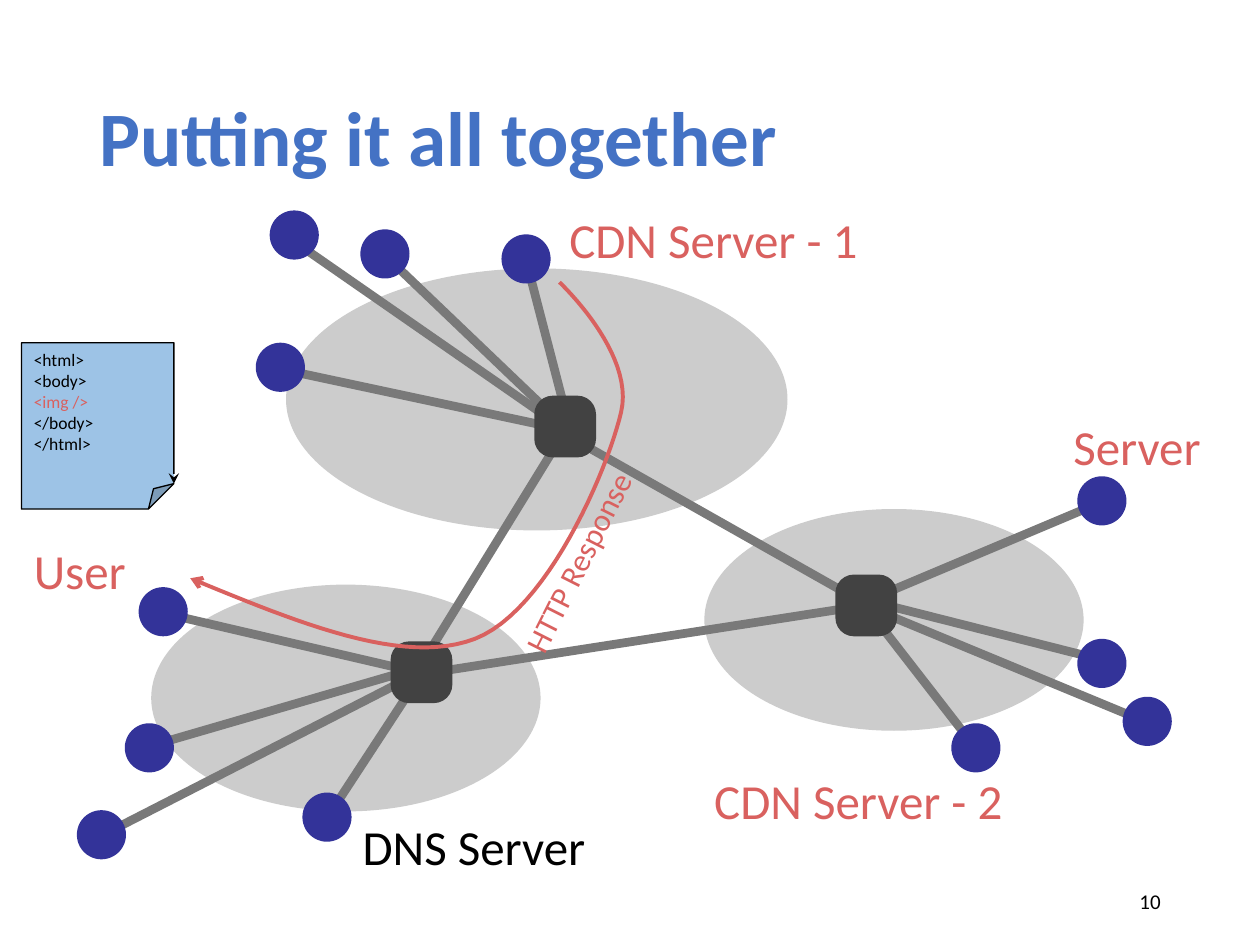
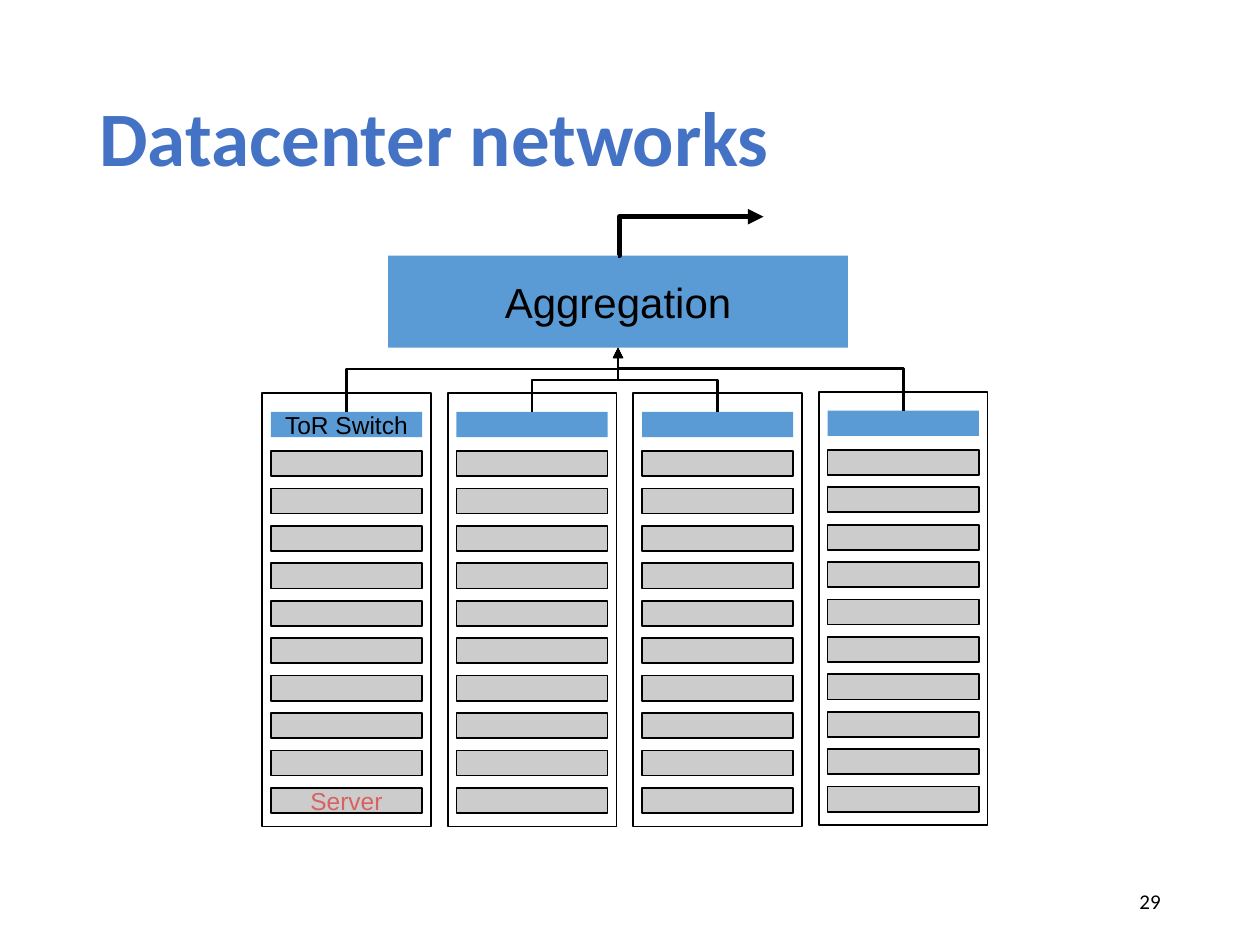
"""Build two networking slides: a content delivery network and a datacenter."""
from typing import NamedTuple, Optional

from lxml.etree import SubElement
from pptx import Presentation
from pptx.dml.color import RGBColor
from pptx.enum.shapes import MSO_CONNECTOR, MSO_SHAPE
from pptx.enum.text import MSO_ANCHOR, PP_ALIGN
from pptx.oxml.ns import qn
from pptx.util import Inches, Pt

COLUMNS, ROWS = 100, 75
CELL = Inches(10) / COLUMNS

BLACK, WHITE = "000000", "FFFFFF"
TITLE_BLUE, SWITCH_BLUE, PAGE_BLUE = "4472C4", "5B9BD5", "9DC3E6"
HOST_BLUE, CORAL = "333399", "D9615F"
CLOUD_GREY, LINK_GREY, HUB_GREY = "CCCCCC", "797979", "424242"
BODY_FONT, RACK_FONT = "Calibri", "Arial"


class Point(NamedTuple):
    x: float
    y: float


class Box(NamedTuple):
    left: float
    top: float
    width: float
    height: float


class Style(NamedTuple):
    size: float
    color: str = BLACK
    font: str = BODY_FONT
    bold: bool = False


class Label(NamedTuple):
    text: str
    box: Box
    style: Style
    rotation: float = 0


class Host(NamedTuple):
    corner: Point
    link_start: Point
    link_end: Point


class Cluster(NamedTuple):
    cloud: Box
    hub: Point
    hosts: list[Host]


TITLE_BOX = Box(6.9, 4, 86.2, 14.5)
NUMBER_BOX = Box(70.6, 69.5, 22.5, 4)
TITLE_STYLE = Style(44, TITLE_BLUE, bold=True)
NUMBER_STYLE = Style(12)
PLACE_STYLE = Style(28, CORAL)

HOST_SIZE, HUB_SIZE = 3.9, 4.9
CLUSTERS = [
    Cluster(Box(55.9, 40.4, 30.1, 17.6), Point(66.3, 45.6), [
        Host(Point(85.5, 37.8), Point(87.3, 39.9), Point(68.3, 47.9)),
        Host(Point(85.5, 50.7), Point(87.2, 52.3), Point(69, 47.7)),
        Host(Point(89.1, 55.3), Point(91.2, 57.4), Point(68.5, 48)),
        Host(Point(75.5, 57.4), Point(77.3, 59.2), Point(69, 48.5)),
    ]),
    Cluster(Box(22.7, 21.3, 39.8, 20.8), Point(42.4, 31.4), [
        Host(Point(20.3, 27.2), Point(22.3, 29.3), Point(44.3, 34)),
        Host(Point(21.4, 16.7), Point(23.4, 19.2), Point(44, 33.5)),
        Host(Point(28.6, 18.2), Point(30.6, 20.3), Point(44.3, 33.4)),
        Host(Point(39.8, 18.6), Point(41.9, 21.2), Point(45.3, 34.3)),
    ]),
    Cluster(Box(12, 46.4, 30.9, 18), Point(31, 50.9), [
        Host(Point(11, 46.6), Point(12.7, 48.6), Point(32.9, 53.3)),
        Host(Point(9.9, 57.4), Point(11.6, 59.3), Point(32.9, 53.1)),
        Host(Point(6.1, 64.3), Point(7.7, 66.5), Point(32.7, 53.7)),
        Host(Point(24, 62.9), Point(26.3, 64.4), Point(33.3, 53.7)),
    ]),
]
TRUNKS = [
    (Point(44.2, 34.1), Point(68.8, 48)),
    (Point(44.9, 34.1), Point(33.4, 52.8)),
    (Point(69, 48), Point(33.5, 53.5)),
]
PLACES = [
    Label("User", Box(1.7, 42.4, 9.4, 5.7), PLACE_STYLE),
    Label("Server", Box(84.2, 32.6, 12.2, 5.7), PLACE_STYLE),
    Label("DNS Server", Box(27.8, 64.3, 23, 5.7), Style(28)),
    Label("CDN Server - 1", Box(44.2, 16.1, 25.2, 5.7), PLACE_STYLE),
    Label("CDN Server - 2", Box(55.7, 60.7, 25.2, 5.7), PLACE_STYLE),
    Label("HTTP Response", Box(37, 42.5, 17.8, 4), Style(18, CORAL), 296.8),
]
PAGE_BOX = Box(1.7, 27.2, 12.1, 13.2)
PAGE_LINES = ["<html>", "<body>", "<img />", "</body>", "</html>"]
RESPONSE_CURVE = [
    Point(15.1, 45.9), Point(23.6, 49.4), Point(32, 52.9), Point(37.7, 50.7),
    Point(43.4, 48.5), Point(48.2, 37.4), Point(49.3, 32.7),
    Point(50.4, 28), Point(44.4, 22.4), Point(44.4, 22.4),
]
CURVE_STEPS = 24

AGGREGATION_BOX = Box(30.8, 20.3, 36.5, 7.3)
RACK_BOX = Box(20.8, 31.2, 13.4, 34.4)
RACK_PITCH, SERVER_PITCH = 14.73, 2.97
SLOT_INSET, SLOT_WIDTH, SLOT_HEIGHT = 0.7, 12, 2
SWITCH_TOP, SERVER_TOP, SERVER_COUNT = 32.7, 35.8, 10
RACK_BENDS = [0.667, 0.5, 0.5, 0.667]


def grid(cells: float) -> int:
    """Turn grid cells into a slide length."""
    return round(cells * CELL)


def rgb(color: str) -> RGBColor:
    """Turn a hex string into a colour."""
    return RGBColor.from_string(color)


def add_run(para, text: str, style: Style) -> None:
    """Add one styled run to a paragraph."""
    span = para.add_run()
    span.text = text
    span.font.size = Pt(style.size)
    span.font.name = style.font
    span.font.bold = style.bold
    span.font.color.rgb = rgb(style.color)


def add_label(page, label: Label, wrap: bool = False):
    """Add a text box and return its frame."""
    shape = page.shapes.add_textbox(*map(grid, label.box))
    shape.rotation = label.rotation
    frame = shape.text_frame
    frame.word_wrap = wrap
    add_run(frame.paragraphs[0], label.text, label.style)
    return frame


def add_block(page, kind: MSO_SHAPE, box: Box, fill: Optional[str] = None,
              line: Optional[str] = None, weight: float = 1):
    """Add a flat preset shape."""
    shape = page.shapes.add_shape(kind, *map(grid, box))
    shape.shadow.inherit = False
    if fill:
        shape.fill.solid()
        shape.fill.fore_color.rgb = rgb(fill)
    else:
        shape.fill.background()
    if line:
        shape.line.color.rgb = rgb(line)
        shape.line.width = Pt(weight)
    else:
        shape.line.fill.background()
    return shape


def caption_block(shape, text: str, style: Style) -> None:
    """Centre a caption in a shape."""
    frame = shape.text_frame
    frame.vertical_anchor = MSO_ANCHOR.MIDDLE
    frame.paragraphs[0].alignment = PP_ALIGN.CENTER
    add_run(frame.paragraphs[0], text, style)


def add_arrowhead(shape, end: str, kind: str) -> None:
    """Put an arrowhead on the head or tail end of a line."""
    SubElement(shape.line._get_or_add_ln(), qn(f"a:{end}End")).set("type", kind)


def add_line(page, start: Point, end: Point, color: str, weight: float,
             kind: MSO_CONNECTOR = MSO_CONNECTOR.STRAIGHT):
    """Add a flat connector."""
    line = page.shapes.add_connector(kind, *map(grid, (*start, *end)))
    line.line.color.rgb = rgb(color)
    line.line.width = Pt(weight)
    SubElement(line._element.spPr, qn("a:effectLst"))
    return line


def add_elbow(page, start: Point, end: Point, weight: float, bend: float):
    """Add a bent arrow whose middle part lies at the given share."""
    line = add_line(page, start, end, BLACK, weight, MSO_CONNECTOR.ELBOW)
    add_arrowhead(line, "tail", "triangle")
    guides = line._element.spPr.find(qn("a:prstGeom")).find(qn("a:avLst"))
    guide = SubElement(guides, qn("a:gd"))
    guide.set("name", "adj1")
    guide.set("fmla", f"val {round(bend * 100000)}")
    return line


def add_riser(page, start: Point, end: Point, bend: float) -> None:
    """Add a bent arrow that leaves and arrives vertically."""
    middle = Point((start.x + end.x) / 2, (start.y + end.y) / 2)
    side = 1 if end.x > start.x else -1
    across = side * (start.y - end.y) / 2
    down = abs(end.x - start.x) / 2
    line = add_elbow(page, Point(middle.x + across, middle.y + down),
                     Point(middle.x - across, middle.y - down), 1.5, bend)
    frame = line._element.spPr.find(qn("a:xfrm"))
    frame.set("rot", str((180 - 90 * side) * 60000))


def bezier(points: list[Point], share: float) -> Point:
    """Find the point at a share of a Bezier curve."""
    while len(points) > 1:
        points = [Point(a.x + (b.x - a.x) * share, a.y + (b.y - a.y) * share)
                  for a, b in zip(points, points[1:])]
    return points[0]


def add_response(page) -> None:
    """Draw the curved response arrow towards the user."""
    track = [bezier(RESPONSE_CURVE[first:first + 4], step / CURVE_STEPS)
             for first in range(0, len(RESPONSE_CURVE) - 1, 3)
             for step in range(1, CURVE_STEPS + 1)]
    builder = page.shapes.build_freeform(*map(grid, RESPONSE_CURVE[0]))
    builder.add_line_segments([tuple(map(grid, spot)) for spot in track], close=False)
    curve = builder.convert_to_shape()
    curve.shadow.inherit = False
    curve.fill.background()
    curve.line.color.rgb = rgb(CORAL)
    curve.line.width = Pt(2.25)
    add_arrowhead(curve, "head", "arrow")


def add_html_page(page) -> None:
    """Draw the folded sheet of markup."""
    sheet = add_block(page, MSO_SHAPE.FOLDED_CORNER, PAGE_BOX, PAGE_BLUE, BLACK, 0.75)
    add_arrowhead(sheet, "tail", "stealth")
    frame = sheet.text_frame
    frame.word_wrap = False
    frame.vertical_anchor = MSO_ANCHOR.TOP
    for index, text in enumerate(PAGE_LINES):
        para = frame.add_paragraph() if index else frame.paragraphs[0]
        para.alignment = PP_ALIGN.LEFT
        add_run(para, text, Style(10, CORAL if "img" in text else BLACK))


def start_page(deck, title: str, number: int):
    """Add a page with its title and number."""
    page = deck.slides.add_slide(deck.slide_layouts[6])
    page.background.fill.solid()
    page.background.fill.fore_color.rgb = rgb(WHITE)
    heading = add_label(page, Label(title, TITLE_BOX, TITLE_STYLE), wrap=True)
    heading.paragraphs[0].line_spacing = 0.9
    footer = add_label(page, Label(str(number), NUMBER_BOX, NUMBER_STYLE), wrap=True)
    footer.paragraphs[0].alignment = PP_ALIGN.RIGHT
    for frame in (heading, footer):
        frame.vertical_anchor = MSO_ANCHOR.MIDDLE
    return page


def draw_delivery(deck) -> None:
    """Draw three joined clusters and the response path."""
    page = start_page(deck, "Putting it all together", 10)
    hosts = [host for cluster in CLUSTERS for host in cluster.hosts]
    for cluster in CLUSTERS:
        add_block(page, MSO_SHAPE.OVAL, cluster.cloud, CLOUD_GREY)
    links = [(host.link_start, host.link_end) for host in hosts]
    for start, end in links + TRUNKS:
        add_line(page, start, end, LINK_GREY, 5)
    for cluster in CLUSTERS:
        hub = add_block(page, MSO_SHAPE.ROUNDED_RECTANGLE,
                        Box(*cluster.hub, HUB_SIZE, HUB_SIZE), HUB_GREY)
        hub.adjustments[0] = 0.3
    for host in hosts:
        add_block(page, MSO_SHAPE.OVAL, Box(*host.corner, HOST_SIZE, HOST_SIZE), HOST_BLUE)
    add_html_page(page)
    add_response(page)
    for place in PLACES:
        add_label(page, place)


def draw_datacenter(deck) -> None:
    """Draw four racks of servers under one aggregation switch."""
    page = start_page(deck, "Datacenter networks", 29)
    top = add_block(page, MSO_SHAPE.RECTANGLE, AGGREGATION_BOX, SWITCH_BLUE)
    caption_block(top, "Aggregation", Style(24, font=RACK_FONT))
    center = AGGREGATION_BOX.left + AGGREGATION_BOX.width / 2
    inlet = Point(center, AGGREGATION_BOX.top + AGGREGATION_BOX.height)
    for rack, bend in enumerate(RACK_BENDS):
        lift = 0.1 if rack == len(RACK_BENDS) - 1 else 0
        left = RACK_BOX.left + rack * RACK_PITCH
        slot = Box(left + SLOT_INSET, SWITCH_TOP - lift, SLOT_WIDTH, SLOT_HEIGHT)
        servers = [
            add_block(page, MSO_SHAPE.RECTANGLE,
                      slot._replace(top=SERVER_TOP - lift + row * SERVER_PITCH),
                      CLOUD_GREY, BLACK)
            for row in range(SERVER_COUNT)]
        switch = add_block(page, MSO_SHAPE.RECTANGLE, slot, SWITCH_BLUE)
        if rack == 0:
            caption_block(servers[-1], "Server", Style(14, CORAL, RACK_FONT))
            caption_block(switch, "ToR Switch", Style(14, font=RACK_FONT))
        add_block(page, MSO_SHAPE.RECTANGLE,
                  RACK_BOX._replace(left=left, top=RACK_BOX.top - lift), line=BLACK)
        add_riser(page, Point(slot.left + SLOT_WIDTH / 2, slot.top), inlet, bend)
    add_elbow(page, Point(center, AGGREGATION_BOX.top), Point(60.6, 17.2), 3, 0.01)


def main() -> None:
    """Build and save the deck."""
    deck = Presentation()
    deck.slide_width, deck.slide_height = grid(COLUMNS), grid(ROWS)
    draw_delivery(deck)
    draw_datacenter(deck)
    deck.save("out.pptx")


if __name__ == "__main__":
    main()
